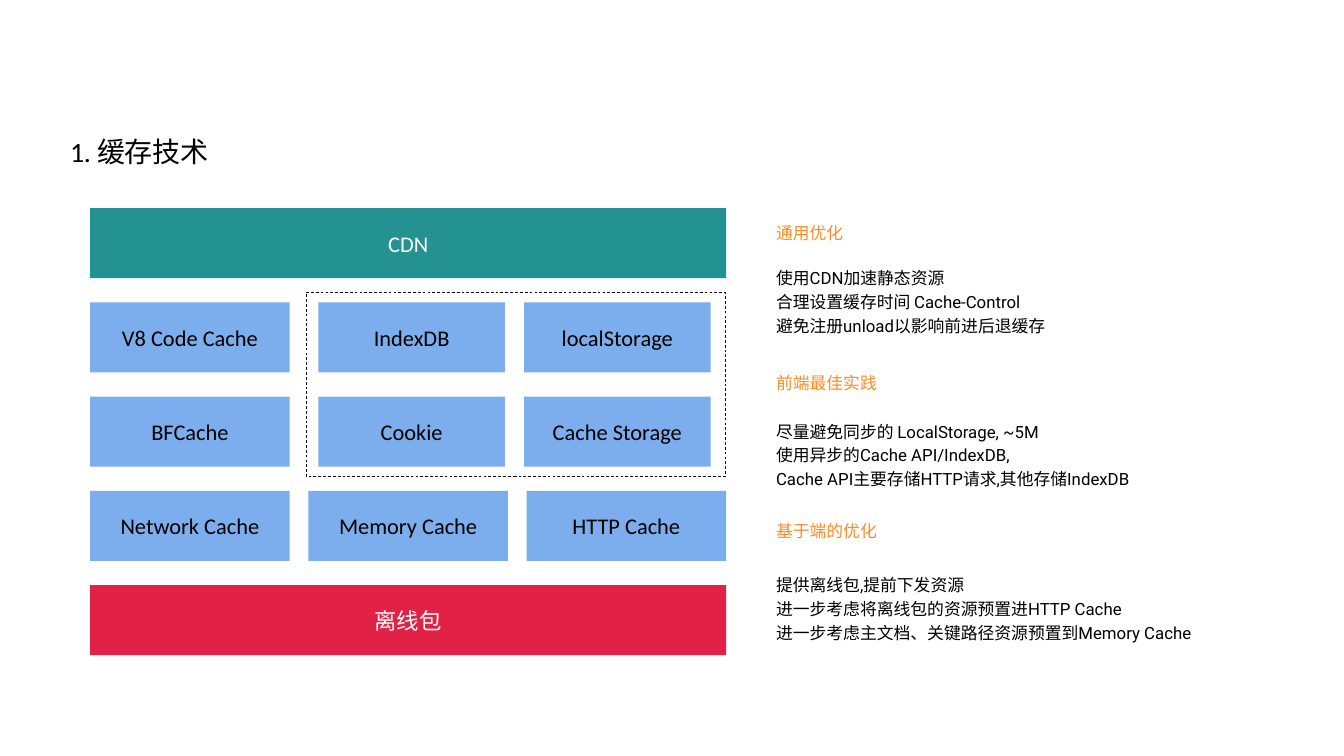
import pptx
import pptx.dml.color
import pptx.enum.dml
import pptx.enum.shapes
import pptx.enum.text
import pptx.util

Inches = pptx.util.Inches
Align = pptx.enum.text.PP_ALIGN
Anchor = pptx.enum.text.MSO_ANCHOR

COLORS = {
    "black": "000000",
    "white": "FFFFFF",
    "blue": "7CADED",
    "teal": "239290",
    "red": "E22146",
    "orange": "FF8B25",
}
BLOCK_HEIGHT = 1.39
ROW_STEP = 1.87
COLUMN_WIDTH = 3.96
NOTES = [
    (4.35, 1.46, "通用优化", 5.12, 5.47,
     ["使用CDN加速静态资源", "合理设置缓存时间 Cache-Control", "避免注册unload以影响前进后退缓存"]),
    (7.34, 2.13, "前端最佳实践", 8.16, 7.25,
     ["尽量避免同步的 LocalStorage, ~5M", "使用异步的Cache API/IndexDB,",
      "Cache API主要存储HTTP请求,其他存储IndexDB"]),
    (10.27, 2.13, "基于端的优化", 11.21, 8.4,
     ["提供离线包,提前下发资源", "进一步考虑将离线包的资源预置进HTTP Cache",
      "进一步考虑主文档、关键路径资源预置到Memory Cache"]),
]


def rgb(name):
    return pptx.dml.color.RGBColor.from_string(COLORS[name])


def write_text(shape, lines, size=24, font="Roboto", color="black", align=Align.LEFT,
               anchor=Anchor.MIDDLE, line_spacing=1.0, wrap=True, spacing=None):
    frame = shape.text_frame
    frame.auto_size = pptx.enum.text.MSO_AUTO_SIZE.NONE
    frame.word_wrap = wrap
    frame.vertical_anchor = anchor
    frame.margin_left = frame.margin_right = Inches(0.06)
    frame.margin_top = frame.margin_bottom = Inches(0.06)
    for index, line in enumerate(lines):
        paragraph = frame.paragraphs[0] if index == 0 else frame.add_paragraph()
        paragraph.alignment = align
        paragraph.line_spacing = line_spacing
        run = paragraph.add_run()
        run.text = line
        run.font.size = pptx.util.Pt(size)
        run.font.name = font
        run.font.color.rgb = rgb(color)
        if spacing is not None:
            run.font._element.set("spc", str(round(spacing * 100)))


def add_rectangle(slide, left, top, width, height, fill):
    shape = slide.shapes.add_shape(
        pptx.enum.shapes.MSO_SHAPE.RECTANGLE,
        Inches(left), Inches(top), Inches(width), Inches(height))
    shape.shadow.inherit = False
    shape.fill.solid()
    shape.fill.fore_color.rgb = rgb(fill)
    shape.line.fill.background()
    return shape


def add_block(slide, left, top, width, text, fill="blue", color="black"):
    shape = add_rectangle(slide, left, top, width, BLOCK_HEIGHT, fill)
    write_text(shape, [text], size=32, font="Calibri", color=color, align=Align.CENTER)


def add_text(slide, left, top, width, height, lines, **text_format):
    box = slide.shapes.add_textbox(Inches(left), Inches(top), Inches(width), Inches(height))
    write_text(box, lines, **text_format)


def add_title(slide, left, top, width, height):
    title = slide.shapes.title
    title.left, title.top = Inches(left), Inches(top)
    title.width, title.height = Inches(width), Inches(height)
    write_text(title, ["1. 缓存技术"], size=40, font="Calibri", anchor=Anchor.TOP, spacing=-0.4)


def add_storage_panel(slide, left, top, width, height):
    panel = add_rectangle(slide, left, top, width, height, "white")
    panel.line.color.rgb = rgb("black")
    panel.line.width = pptx.util.Pt(1)
    panel.line.dash_style = pptx.enum.dml.MSO_LINE.DASH
    for row, names in enumerate([["IndexDB", "localStorage"], ["Cookie", "Cache Storage"]]):
        for column, name in enumerate(names):
            add_block(slide, left + 0.25 + column * 4.08, top + 0.2 + row * ROW_STEP, 3.7, name)


def add_cache_layers(slide, left, top, width):
    rows = [top + index * ROW_STEP for index in range(5)]
    column_step = (width - COLUMN_WIDTH) / 2
    add_block(slide, left, rows[0], width, "CDN", fill="teal", color="white")
    add_block(slide, left, rows[1], COLUMN_WIDTH, "V8 Code Cache")
    add_block(slide, left, rows[2], COLUMN_WIDTH, "BFCache")
    for column, name in enumerate(["Network Cache", "Memory Cache", "HTTP Cache"]):
        add_block(slide, left + column * column_step, rows[3], COLUMN_WIDTH, name)
    add_block(slide, left, rows[4], width, "离线包", fill="red", color="white")
    add_storage_panel(slide, left + 4.28, rows[1] - 0.2, 8.32, 3.65)


def add_notes_column(slide, left):
    for heading_top, heading_width, heading, body_top, body_width, lines in NOTES:
        add_text(slide, left, heading_top, heading_width, 0.57, [heading],
                 color="orange", line_spacing=0.9, wrap=False)
        add_text(slide, left, body_top, body_width, 1.67, lines, line_spacing=1.18)


def main():
    presentation = pptx.Presentation()
    presentation.slide_width = Inches(26.67)
    presentation.slide_height = Inches(15)
    slide = presentation.slides.add_slide(presentation.slide_layouts[5])
    add_title(slide, 1.33, 2.61, 24, 0.91)
    add_cache_layers(slide, 1.79, 4.13, 12.62)
    add_notes_column(slide, 15.34)
    presentation.save("out.pptx")


if __name__ == "__main__":
    main()
